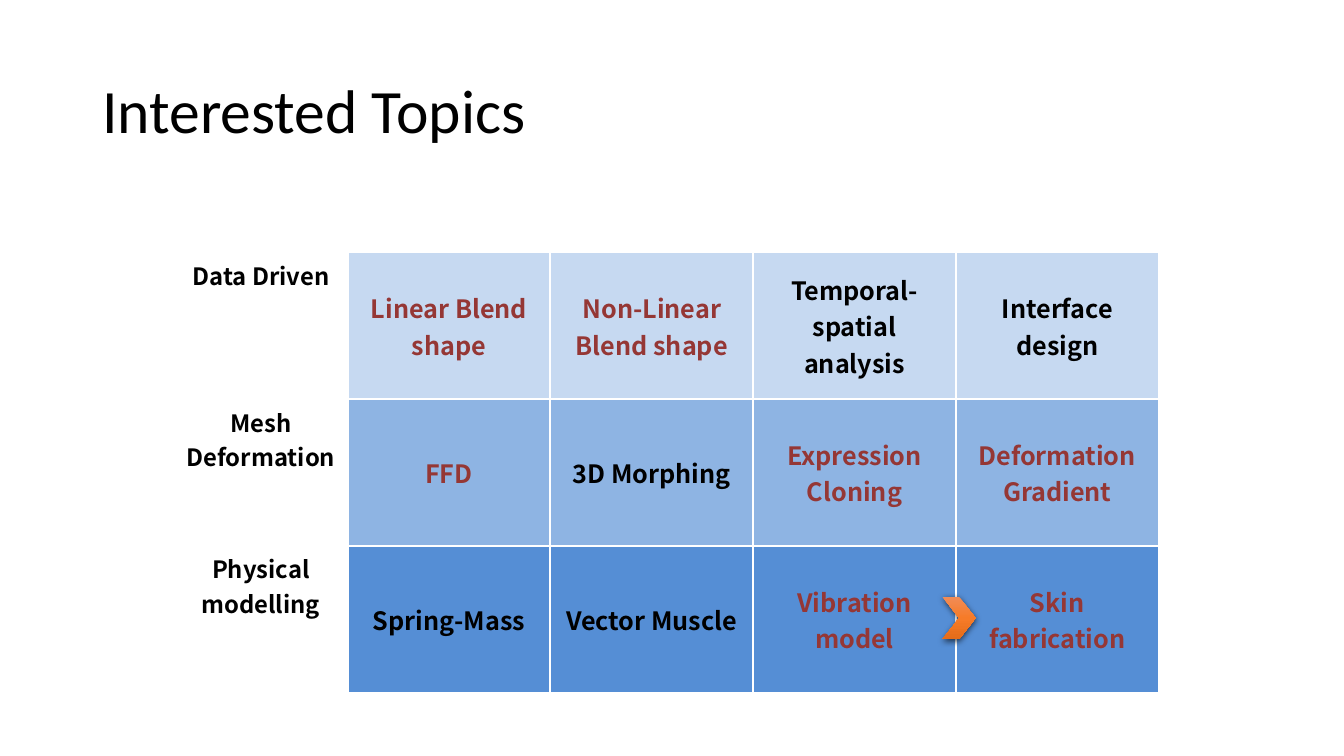
from copy import deepcopy
from dataclasses import dataclass

from lxml import etree
from pptx import Presentation
from pptx.dml.color import RGBColor
from pptx.enum.shapes import MSO_SHAPE
from pptx.enum.text import MSO_ANCHOR, PP_ALIGN
from pptx.oxml.ns import qn
from pptx.slide import Slide
from pptx.table import _Cell
from pptx.text.text import TextFrame
from pptx.util import Cm, Pt

CHEVRON = MSO_SHAPE.CHEVRON
TOP, MIDDLE = MSO_ANCHOR.TOP, MSO_ANCHOR.MIDDLE
LEFT, CENTER = PP_ALIGN.LEFT, PP_ALIGN.CENTER

BLACK = RGBColor(0x00, 0x00, 0x00)
WHITE = RGBColor(0xFF, 0xFF, 0xFF)
RED = RGBColor(0x95, 0x37, 0x35)
PALE = RGBColor(0xC6, 0xD9, 0xF1)
LIGHT = RGBColor(0x8E, 0xB4, 0xE3)
BLUE = RGBColor(0x55, 0x8E, 0xD5)
GLOW = (
    (0, RGBColor(0xF1, 0x8C, 0x57)),
    (0.5, RGBColor(0xF6, 0x7B, 0x28)),
    (1, RGBColor(0xE5, 0x6C, 0x19)),
)

TITLE_FONT = "Calibri"
TABLE_FONT = "Noto Sans CJK SC"


@dataclass(frozen=True)
class Topic:
    text: str
    color: RGBColor = BLACK


@dataclass(frozen=True)
class Group:
    name: str
    fill: RGBColor
    topics: tuple[Topic, ...]


GROUPS = (
    Group("Data Driven", PALE, (
        Topic("Linear Blend shape", RED),
        Topic("Non-Linear Blend shape", RED),
        Topic("Temporal-spatial analysis"),
        Topic("Interface design"),
    )),
    Group("Mesh Deformation", LIGHT, (
        Topic("FFD", RED),
        Topic("3D Morphing"),
        Topic("Expression Cloning", RED),
        Topic("Deformation Gradient", RED),
    )),
    Group("Physical modelling", BLUE, (
        Topic("Spring-Mass"),
        Topic("Vector Muscle"),
        Topic("Vibration model", RED),
        Topic("Skin fabrication", RED),
    )),
)


def write(frame: TextFrame, text: str, *, size: float, font: str = TABLE_FONT,
          color: RGBColor = BLACK, bold: bool = True,
          align: PP_ALIGN = CENTER) -> None:
    frame.word_wrap = True
    par = frame.paragraphs[0]
    par.alignment = align
    run = par.add_run()
    run.text = text
    run.font.name = font
    run.font.size = Pt(size)
    run.font.bold = bold
    run.font.color.rgb = color


def border(cell: _Cell) -> None:
    props = cell._tc.get_or_add_tcPr()
    for spot, side in enumerate(("lnL", "lnR", "lnT", "lnB")):
        line = etree.Element(qn(f"a:{side}"), w=str(Pt(1.5)))
        solid = etree.SubElement(line, qn("a:solidFill"))
        etree.SubElement(solid, qn("a:srgbClr"), val=str(WHITE))
        props.insert(spot, line)


def paint(cell: _Cell, fill: RGBColor, anchor: MSO_ANCHOR) -> None:
    cell.fill.solid()
    cell.fill.fore_color.rgb = fill
    cell.vertical_anchor = anchor
    cell.margin_left = cell.margin_right = Cm(0.23)
    cell.margin_top = cell.margin_bottom = Cm(0.13)
    border(cell)


def add_title(slide: Slide) -> None:
    box = slide.shapes.add_textbox(Cm(2.33), Cm(1.01), Cm(29.21), Cm(3.68))
    frame = box.text_frame
    frame.vertical_anchor = MIDDLE
    write(frame, "Interested Topics", size=44, font=TITLE_FONT,
          bold=False, align=LEFT)
    frame.paragraphs[0].line_spacing = 0.9


def add_grid(slide: Slide) -> None:
    widths = [4.37] + [5.11] * len(GROUPS[0].topics)
    heights = [1.24] + [3.7] * len(GROUPS)
    table = slide.shapes.add_table(
        len(heights), len(widths), Cm(4.39), Cm(5.12),
        Cm(sum(widths)), Cm(sum(heights))).table
    table.first_row = table.horz_banding = False
    for col, width in zip(table.columns, widths):
        col.width = Cm(width)
    for row, height in zip(table.rows, heights):
        row.height = Cm(height)
    for cell in table.rows[0].cells:
        paint(cell, WHITE, TOP)
    for at, group in enumerate(GROUPS, 1):
        head = table.cell(at, 0)
        paint(head, WHITE, TOP)
        write(head.text_frame, group.name, size=17)
        for col, topic in enumerate(group.topics, 1):
            cell = table.cell(at, col)
            paint(cell, group.fill, MIDDLE)
            write(cell.text_frame, topic.text, size=18, color=topic.color)


def add_arrow(slide: Slide) -> None:
    arrow = slide.shapes.add_shape(
        CHEVRON, Cm(23.75), Cm(15.04), Cm(0.84), Cm(1.07))
    arrow.line.fill.background()
    arrow.fill.gradient()
    arrow.fill.gradient_angle = 270
    props = arrow._element.spPr
    stops = props.find(".//" + qn("a:gsLst"))
    stops.append(deepcopy(stops[-1]))
    for stop, (place, color) in zip(arrow.fill.gradient_stops, GLOW):
        stop.position = place
        stop.color.rgb = color
    arrow.shadow.inherit = False
    shade = etree.SubElement(
        props.find(qn("a:effectLst")), qn("a:outerShdw"),
        blurRad=str(Pt(4.5)), dist=str(Pt(1.5)), dir="5400000",
        algn="ctr", rotWithShape="0")
    tint = etree.SubElement(shade, qn("a:srgbClr"), val=str(BLACK))
    etree.SubElement(tint, qn("a:alpha"), val="63000")


def main() -> None:
    deck = Presentation()
    deck.slide_width, deck.slide_height = Cm(33.87), Cm(19.05)
    slide = deck.slides.add_slide(deck.slide_layouts[6])
    add_title(slide)
    add_grid(slide)
    add_arrow(slide)
    deck.save("out.pptx")


if __name__ == "__main__":
    main()
